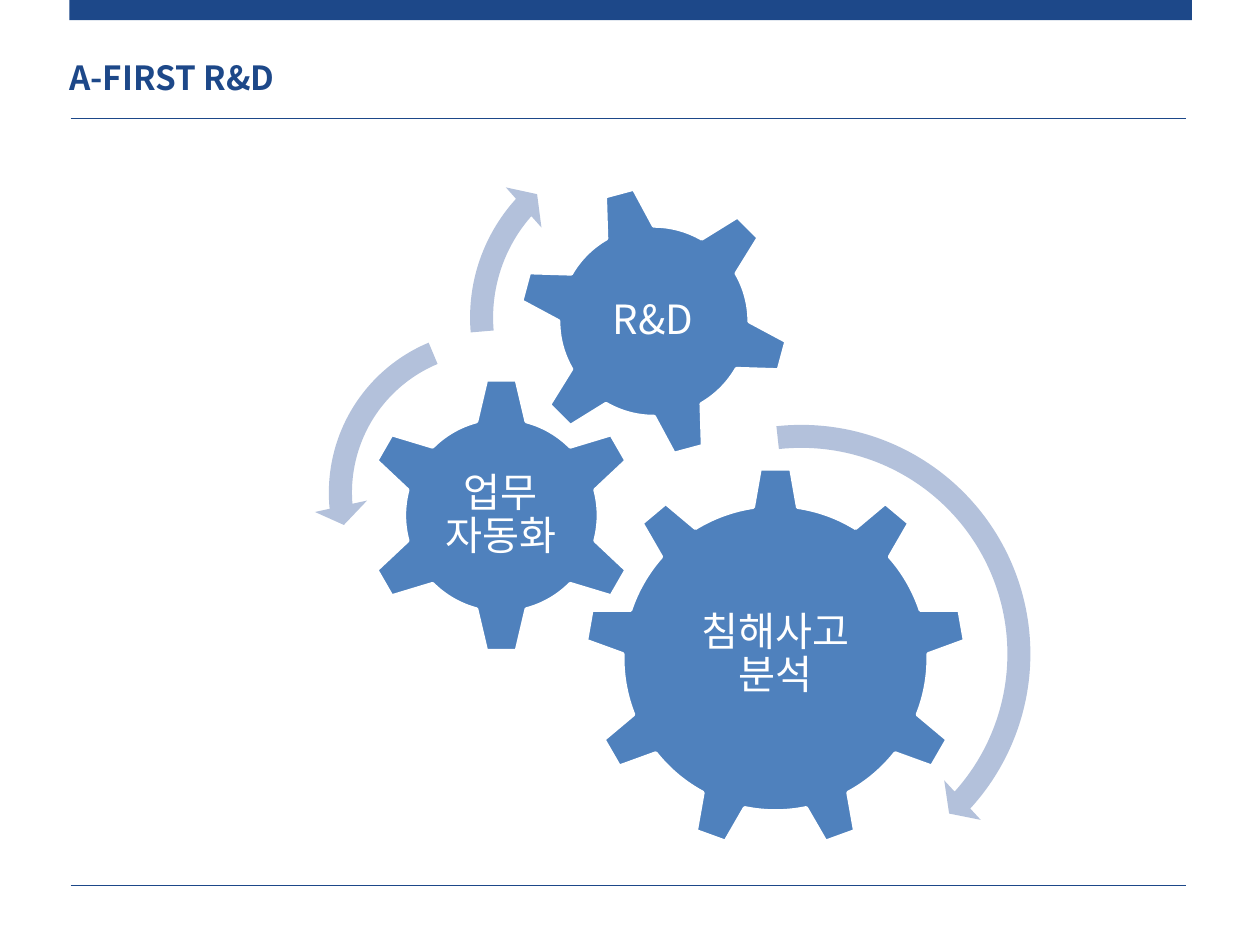
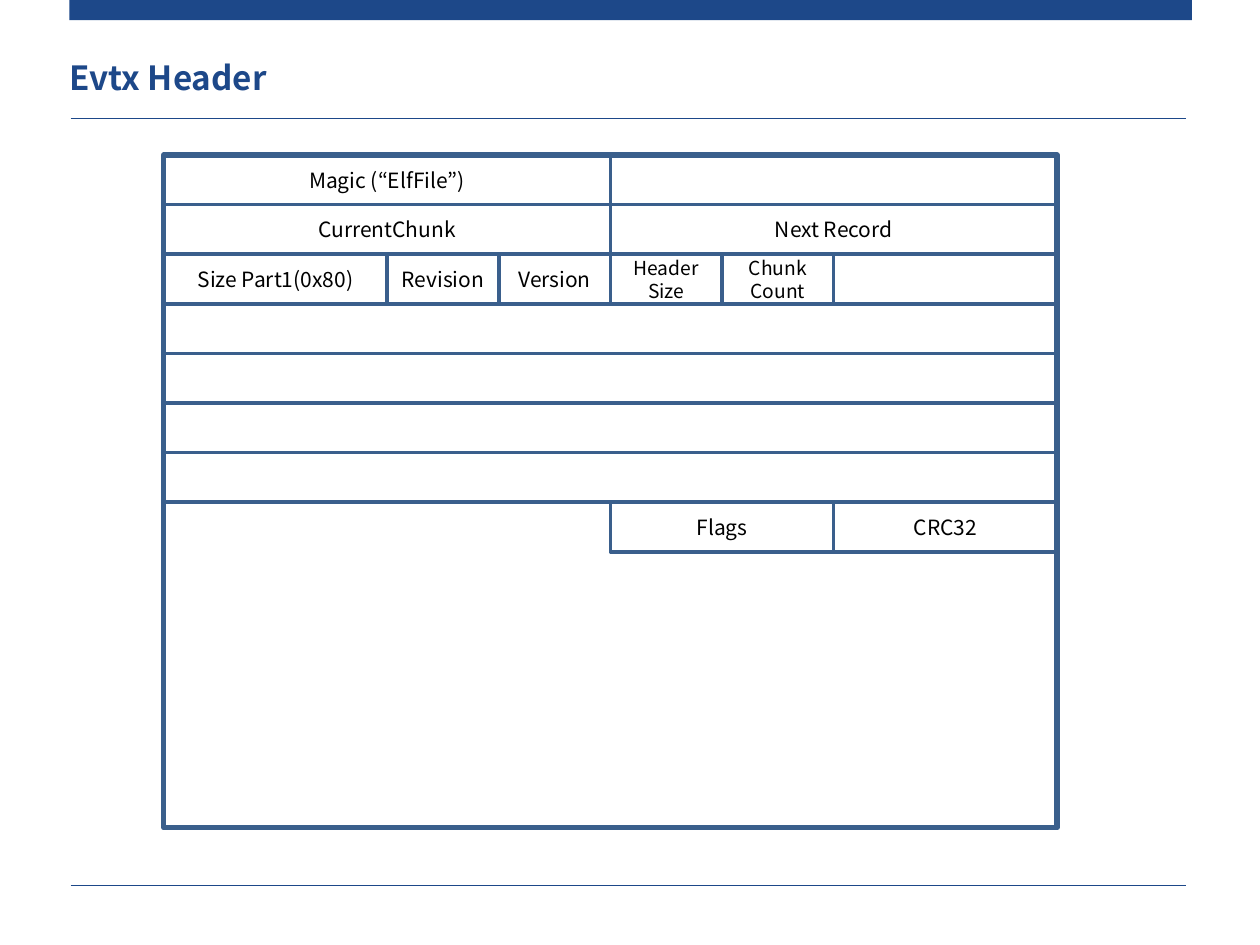
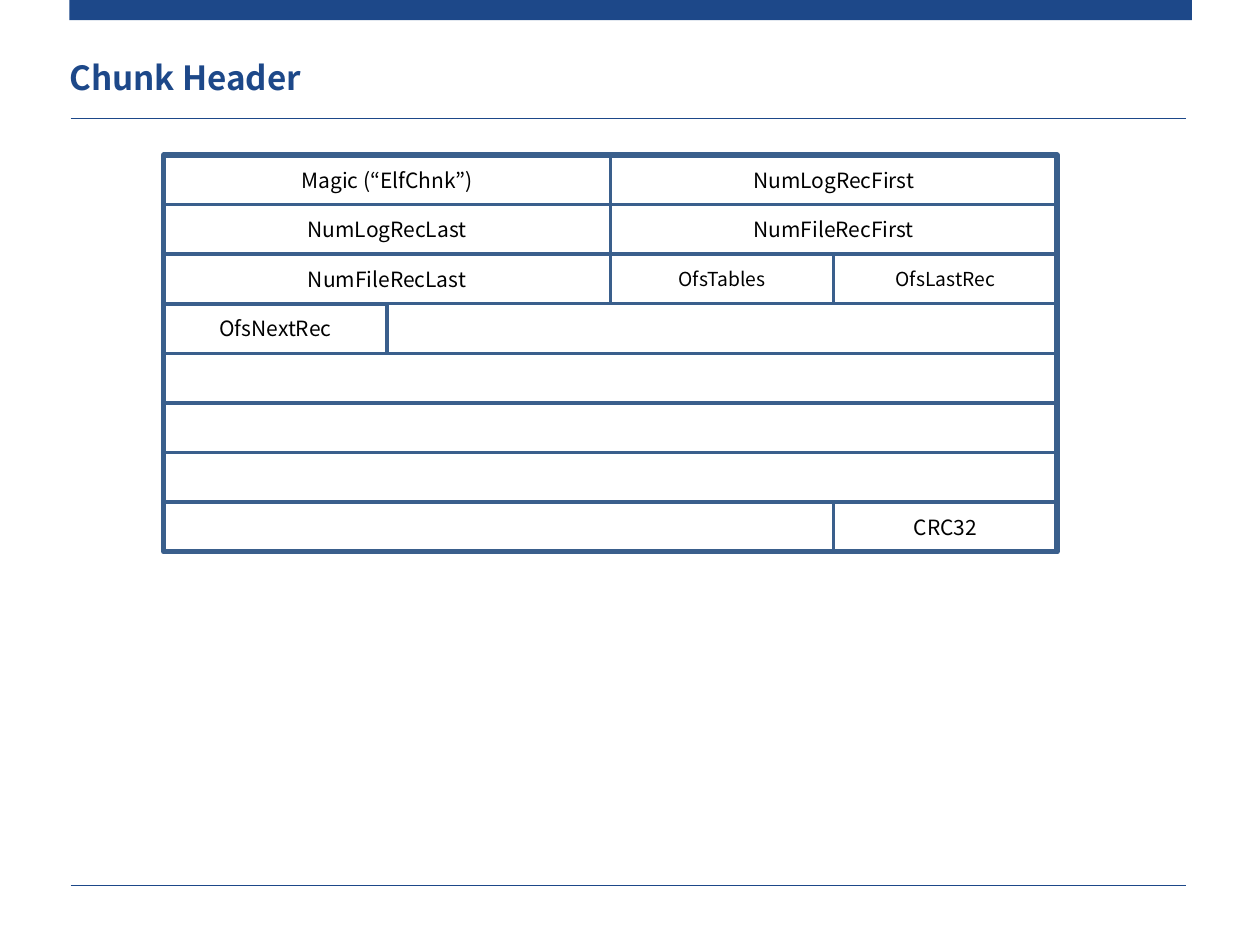
from lxml.etree import SubElement
from pptx import Presentation
from pptx.dml.color import RGBColor
from pptx.enum.shapes import MSO_CONNECTOR, MSO_SHAPE as SHAPE
from pptx.enum.text import MSO_ANCHOR, MSO_AUTO_SIZE, PP_ALIGN as ALIGN
from pptx.oxml.ns import qn
from pptx.util import Inches, Pt

NAVY = RGBColor(0x1D, 0x48, 0x89)
GEAR_BLUE = RGBColor(0x4F, 0x81, 0xBD)
ARROW_BLUE = RGBColor(0xB3, 0xC1, 0xDB)
CELL_BLUE = RGBColor(0x3A, 0x5F, 0x8C)
WHITE = RGBColor(0xFF, 0xFF, 0xFF)
BLACK = RGBColor(0, 0, 0)
FONT = "Noto Sans CJK KR"

GRID_LEFT, GRID_TOP = 1.3, 1.23
GRID_WIDTH = 7.09
COLUMN = GRID_WIDTH / 8
ROW = 3.15 / 8


def write(shape, text, size=12, color=BLACK, bold=False, align=ALIGN.CENTER,
          inset=0.1, spacing=1.0):
    frame = shape.text_frame
    frame.word_wrap = True
    frame.auto_size = MSO_AUTO_SIZE.NONE
    frame.vertical_anchor = MSO_ANCHOR.MIDDLE
    frame.margin_left = frame.margin_right = Inches(inset)
    frame.margin_top = frame.margin_bottom = Inches(min(inset, 0.05))
    paragraph = frame.paragraphs[0]
    paragraph.text = text
    paragraph.alignment = align
    paragraph.line_spacing = spacing
    for run in paragraph.runs:
        run.font.name = FONT
        run.font.size = Pt(size)
        run.font.bold = bold
        run.font.color.rgb = color
    for properties in shape.element.iter(qn("a:rPr")):
        SubElement(properties, qn("a:ea"), typeface=FONT)


def draw(slide, preset, left, top, width, height, fill=None, line=None, weight=2):
    shape = slide.shapes.add_shape(
        preset, Inches(left), Inches(top), Inches(width), Inches(height))
    shape.shadow.inherit = False
    if fill is None:
        shape.fill.background()
    else:
        shape.fill.solid()
        shape.fill.fore_color.rgb = fill
    if line is None:
        shape.line.fill.background()
    else:
        shape.line.color.rgb = line
        shape.line.width = Pt(weight)
    return shape


deck = Presentation()
deck.slide_width, deck.slide_height = Inches(10), Inches(7.5)

pages = []
for heading in ("A-FIRST R&D", "Evtx Header", "Chunk Header"):
    page = deck.slides.add_slide(deck.slide_layouts[5])
    pages.append(page)
    title = page.shapes.title
    title.left, title.top = Inches(0.45), Inches(0.38)
    title.width, title.height = Inches(7.3), Inches(0.46)
    write(title, heading, size=19, color=NAVY, bold=True, align=ALIGN.LEFT)
    draw(page, SHAPE.RECTANGLE, 0.55, 0, 8.91, 0.16, fill=NAVY)
    for rule_y in (0.94, 7.03):
        rule = page.shapes.add_connector(
            MSO_CONNECTOR.STRAIGHT, Inches(0.56), Inches(rule_y), Inches(9.41), Inches(rule_y))
        rule.line.color.rgb = NAVY
        rule.line.width = Pt(0.5)
        SubElement(rule.element.find(qn("p:spPr")), qn("a:effectLst"))

gear_page, evtx_page, chunk_page = pages

gears = [
    (SHAPE.GEAR_9, 4.64, 3.71, 3.03, 0, "침해사고\n분석", (5.25, 4.42, 1.81, 1.56)),
    (SHAPE.GEAR_6, 2.88, 2.99, 2.2, 0, "업무\n자동화", (3.43, 3.55, 1.09, 1.09)),
    (SHAPE.GEAR_6, 4.11, 1.47, 2.16, 345, "R&D", (4.58, 1.95, 1.21, 1.21)),
]
for preset, left, top, side, angle, topic, label_box in gears:
    gear = draw(gear_page, preset, left, top, side, side, fill=GEAR_BLUE, line=WHITE)
    gear.rotation = angle
    label = gear_page.shapes.add_textbox(*map(Inches, label_box))
    write(label, topic, size=23, color=WHITE, inset=0.03, spacing=0.9)

turns = [
    (SHAPE.CIRCULAR_ARROW, 4.42, 3.25, 3.88, (0.047, 2.99, 25.332, 158.25, 0.055)),
    (SHAPE.LEFT_CIRCULAR_ARROW, 2.49, 2.5, 2.82, (0.065, 4.3, 104.891, 148.378, 0.075)),
    (SHAPE.CIRCULAR_ARROW, 3.61, 1, 3.04, (0.06, 3.941, 133.138, 105.082, 0.07)),
]
for preset, left, top, side, bends in turns:
    turn = draw(gear_page, preset, left, top, side, side, fill=ARROW_BLUE)
    for index, bend in enumerate(bends):
        turn.adjustments[index] = bend

evtx_fields = [
    (0, 0, 4, "Magic (“ElfFile”)", 12),
    (0, 4, 4, "", 12),
    (1, 0, 4, "CurrentChunk", 12),
    (1, 4, 4, "Next Record", 12),
    (2, 0, 2, "Size Part1(0x80)", 12),
    (2, 2, 1, "Revision", 12),
    (2, 3, 1, "Version", 12),
    (2, 4, 1, "Header Size", 11),
    (2, 5, 1, "Chunk Count", 11),
    *((row, 0, 8, "", 12) for row in range(3, 7)),
    (7, 4, 2, "Flags", 12),
    (7, 6, 2, "CRC32", 12),
]
chunk_fields = [
    (0, 0, 4, "Magic (“ElfChnk”)", 12),
    (0, 4, 4, "NumLogRecFirst", 12),
    (1, 0, 4, "NumLogRecLast", 12),
    (1, 4, 4, "NumFileRecFirst", 12),
    (2, 0, 4, "NumFileRecLast", 12),
    (2, 4, 2, "OfsTables", 11),
    (2, 6, 2, "OfsLastRec", 11),
    (3, 0, 2, "OfsNextRec", 12),
    *((row, 0, 8, "", 12) for row in range(4, 7)),
    (7, 6, 2, "CRC32", 12),
]
for page, fields, frame_height in (
        (evtx_page, evtx_fields, 5.34), (chunk_page, chunk_fields, 8 * ROW)):
    for row, column, span, field, size in fields:
        cell = draw(page, SHAPE.RECTANGLE, GRID_LEFT + column * COLUMN,
                    GRID_TOP + row * ROW, span * COLUMN, ROW, line=CELL_BLUE)
        if field:
            write(cell, field, size=size)
    draw(page, SHAPE.RECTANGLE, GRID_LEFT, GRID_TOP, GRID_WIDTH, frame_height,
         line=CELL_BLUE, weight=3)

deck.save("out.pptx")
